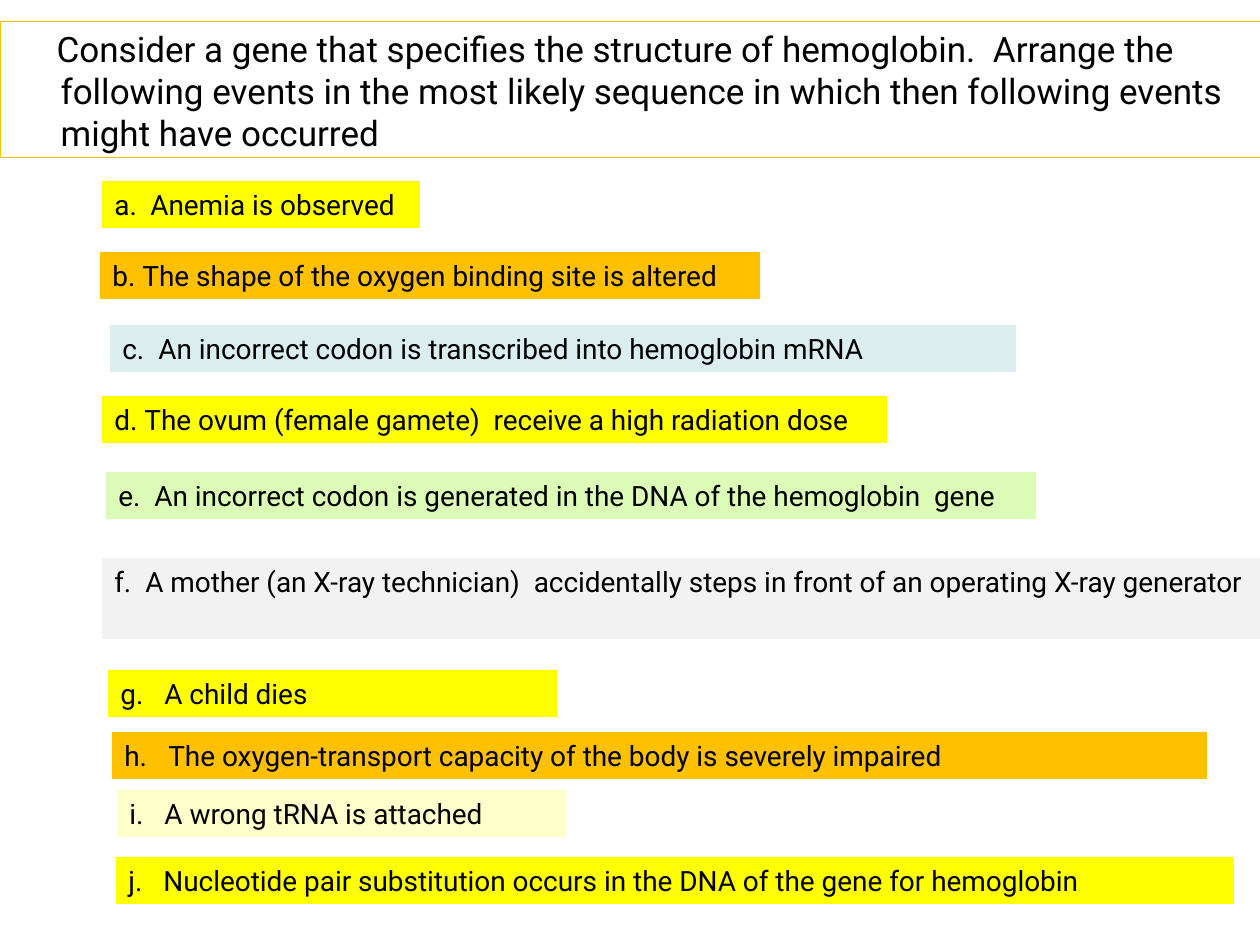
from dataclasses import dataclass

from pptx import Presentation
from pptx.dml.color import RGBColor
from pptx.enum.text import MSO_ANCHOR, MSO_AUTO_SIZE, PP_ALIGN
from pptx.util import Emu, Pt

TOP = MSO_ANCHOR.TOP
NO_AUTOFIT = MSO_AUTO_SIZE.NONE
LEFT = PP_ALIGN.LEFT

EMU_PER_PX = 914400 / 126
TITLE_ONLY = 5


@dataclass(frozen=True)
class Theme:
    font: str = "Roboto"
    question_size: int = 20
    event_size: int = 16
    ink: str = "000000"
    yellow: str = "FFFF00"
    orange: str = "FFC000"
    blue: str = "DAEDEF"
    green: str = "DCFBB7"
    grey: str = "F2F2F2"
    cream: str = "FFFFCC"


def px(length):
    return Emu(round(length * EMU_PER_PX))


class SlideBuilder:
    def __init__(self, slide, theme):
        self.slide = slide
        self.theme = theme

    def set_text(self, shape, text, size, margin, indent):
        frame = shape.text_frame
        frame.text = text
        frame.word_wrap = True
        frame.auto_size = NO_AUTOFIT
        frame.vertical_anchor = TOP
        paragraph = frame.paragraphs[0]
        paragraph.alignment = LEFT
        properties = paragraph._p.get_or_add_pPr()
        properties.set("marL", str(px(margin)))
        properties.set("indent", str(px(indent)))
        for run in paragraph.runs:
            run.font.name = self.theme.font
            run.font.size = Pt(size)
            run.font.color.rgb = RGBColor.from_string(self.theme.ink)

    def question(self, text, left, top, width, height):
        title = self.slide.shapes.title
        title.left, title.top = px(left), px(top)
        title.width, title.height = px(width), px(height)
        title.line.color.rgb = RGBColor.from_string(self.theme.orange)
        title.line.width = Pt(0.25)
        self.set_text(title, text, self.theme.question_size, margin=48, indent=-4)

    def event(self, letter, text, color, left, top, width, gap, height=47):
        card = self.slide.shapes.add_textbox(px(left), px(top), px(width), px(height))
        card.fill.solid()
        card.fill.fore_color.rgb = RGBColor.from_string(color)
        self.set_text(card, f"{letter}.\t{text}", self.theme.event_size,
                      margin=gap, indent=-gap)


def main():
    presentation = Presentation()
    presentation.slide_width, presentation.slide_height = px(1260), px(945)
    theme = Theme()
    slide = presentation.slides.add_slide(presentation.slide_layouts[TITLE_ONLY])
    builder = SlideBuilder(slide, theme)

    builder.question(
        "Consider a gene that specifies the structure of hemoglobin.  Arrange the "
        "following events in the most likely sequence in which then following events "
        "might have occurred",
        0, 21, 1260, 136,
    )

    events = [
        ("Anemia is observed", theme.yellow, 102, 181, 318, 36),
        ("The shape of the oxygen binding site is altered", theme.orange, 100, 252, 660, 30),
        ("An incorrect codon is transcribed into hemoglobin mRNA", theme.blue,
         110, 325, 906, 36),
        ("The ovum (female gamete)  receive a high radiation dose", theme.yellow,
         102, 396, 785, 30),
        ("An incorrect codon is generated in the DNA of the hemoglobin  gene", theme.green,
         106, 472, 930, 36),
        ("A mother (an X-ray technician)  accidentally steps in front of an operating "
         "X-ray generator", theme.grey, 102, 558, 1158, 31, 81),
        ("A child dies", theme.yellow, 108, 670, 449, 44),
        ("The oxygen-transport capacity of the body is severely impaired", theme.orange,
         112, 732, 1095, 44),
        ("A wrong tRNA is attached", theme.cream, 117, 790, 449, 35),
        ("Nucleotide pair substitution occurs in the DNA of the gene for hemoglobin",
         theme.yellow, 116, 857, 1118, 35),
    ]
    for letter, event in zip("abcdefghij", events):
        builder.event(letter, *event)

    presentation.save("out.pptx")


if __name__ == "__main__":
    main()
